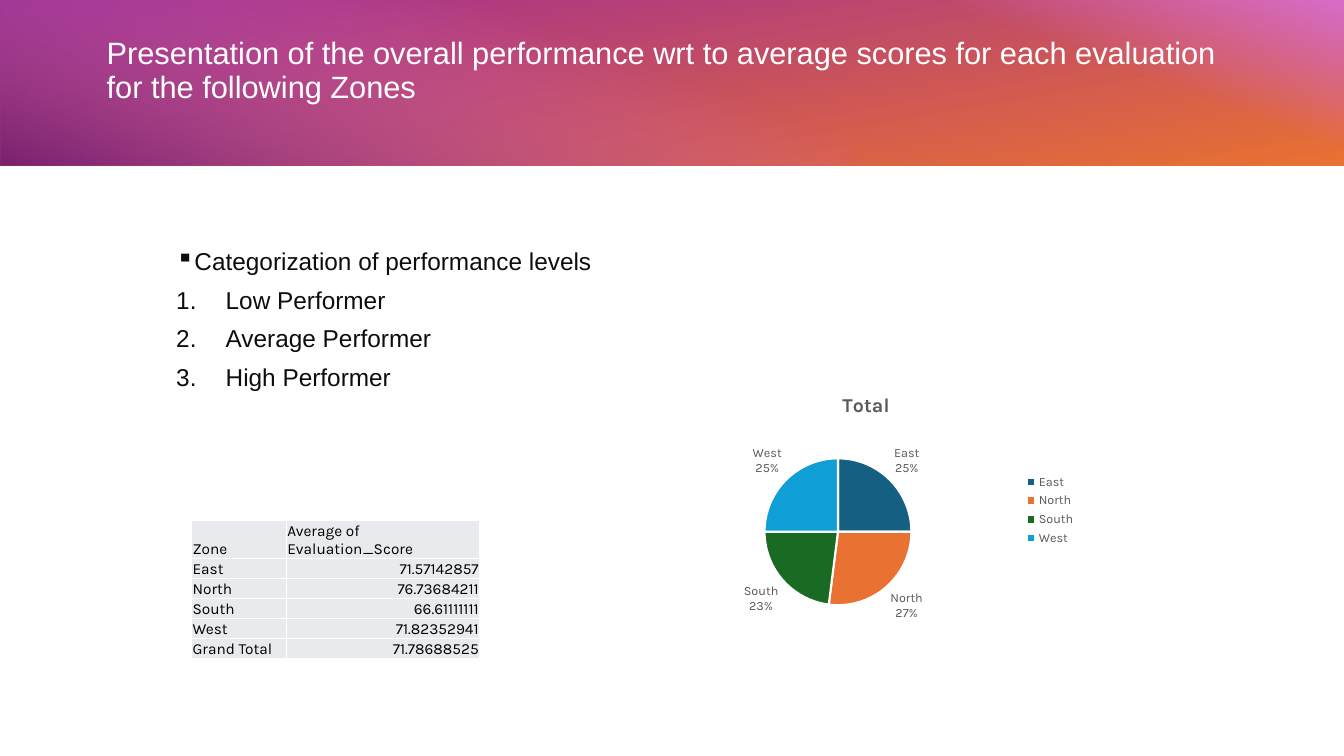
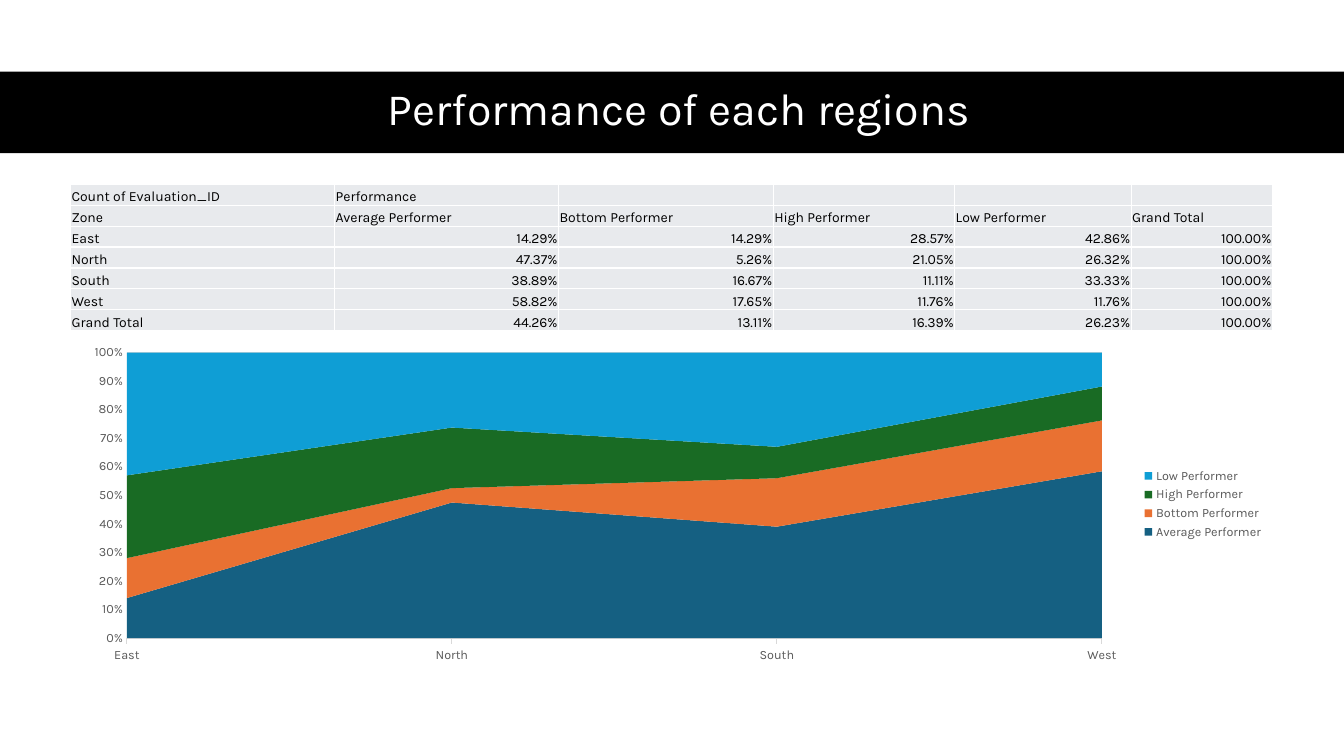
from lxml import etree
from pptx import Presentation
from pptx.chart import data as chart_data
from pptx.dml import color
from pptx.enum import chart as charts, shapes, text
from pptx.oxml import ns, parse_xml
from pptx.util import Inches, Pt

COLORS = {
    "white": "FFFFFF", "black": "000000", "ink": "0D0D0D", "label": "595959",
    "rule": "D9D9D9", "cell": "E8EAED", "purple": "A02B93", "orange": "E97132",
    "pink": "D86ECC", "plum": "78206E",
}
SERIES_COLORS = ["156082", "E97132", "196B24", "0F9ED5"]
ZONES = ["East", "North", "South", "West"]
TITLE = {"color": "white", "spacing": 0.9}
LABEL = {"size": 9, "color": "label", "name": "Karla"}


def rgb(name):
    """Return the named or literal hex colour."""
    return color.RGBColor.from_string(COLORS.get(name, name))


def style_font(font, size, color, name):
    """Apply size, colour and typeface to a font."""
    for key, value in {"size": Pt(size), "name": name}.items():
        setattr(font, key, value)
    font.fill.solid()
    font.fill.fore_color.rgb = rgb(color)


def write_para(para, words, size, color, name, align=None, spacing=None, after=None):
    """Write one styled run into a paragraph."""
    formats = {"alignment": align, "line_spacing": spacing, "space_after": after}
    for key, value in formats.items():
        if value is not None:
            setattr(para, key, value)
    span = para.add_run()
    span.text = words
    style_font(span.font, size, color, name)


def add_text(page, box, anchor):
    """Add a wrapping text box and return its frame."""
    frame = page.shapes.add_textbox(*map(Inches, box)).text_frame
    for key, value in {"word_wrap": True, "vertical_anchor": anchor}.items():
        setattr(frame, key, value)
    return frame


def add_rect(page, box):
    """Add a plain rectangle without line or shadow."""
    rect = page.shapes.add_shape(shapes.MSO_SHAPE.RECTANGLE, *map(Inches, box))
    rect.shadow.inherit = False
    rect.line.fill.background()
    return rect


def add_gradient(page, box, rotation, angle, stops):
    """Fill a horizontal box with a gradient on a turned rectangle."""
    left, top, width, height = box
    shift = (width - height) / 2
    rect = add_rect(page, (left + shift, top - shift, height, width))
    rect.rotation = rotation
    rect.fill.background()
    marks = "".join(
        f'<a:gs pos="{place * 1000}"><a:srgbClr val="{COLORS[name]}">'
        f'<a:alpha val="{alpha * 1000}"/></a:srgbClr></a:gs>'
        for place, name, alpha in stops)
    gradient = parse_xml(
        f'<a:gradFill {ns.nsdecls("a")} rotWithShape="1"><a:gsLst>{marks}</a:gsLst>'
        f'<a:lin ang="{angle * 60000}" scaled="0"/></a:gradFill>')
    properties = rect.fill._xPr
    properties.replace(properties.find(ns.qn("a:noFill")), gradient)


def add_gradient_band(page, box):
    """Layer the three gradients of the heading band."""
    left, top, width, height = box
    add_gradient(page, box, 270, 170, [(0, "purple", 100), (100, "orange", 100)])
    add_gradient(page, (left + width - 5.54, top, 5.54, height), 270, 20,
                 [(59, "pink", 0), (100, "pink", 100)])
    add_gradient(page, (left, top, 8.44, height), 90, 20,
                 [(29, "pink", 0), (100, "plum", 100)])


def add_levels(page, box, heading, levels):
    """Add a bulleted heading followed by numbered levels."""
    frame = add_text(page, box, text.MSO_ANCHOR.TOP)
    for index, words in enumerate([heading, *levels]):
        para = frame.add_paragraph() if index else frame.paragraphs[0]
        write_para(para, words, 17.4, "ink", "Arial", after=Pt(6.8))
        properties = para._p.get_or_add_pPr()
        if index:
            indent = Inches(0.49)
            properties.set("marL", str(indent))
            properties.set("indent", str(-indent))
            etree.SubElement(properties, ns.qn("a:buAutoNum"), type="arabicPeriod")
        else:
            etree.SubElement(properties, ns.qn("a:buChar"), char="▪")


def style_cell(cell, words, size, align):
    """Write a cell and give it a grey fill and white borders."""
    margins = {"margin_left": 0.01, "margin_right": 0.01, "margin_top": 0.01, "margin_bottom": 0}
    for key, value in margins.items():
        setattr(cell, key, Inches(value))
    cell.vertical_anchor = text.MSO_ANCHOR.BOTTOM
    cell.fill.solid()
    cell.fill.fore_color.rgb = rgb("cell")
    para = cell.text_frame.paragraphs[0]
    if words:
        write_para(para, words, size, "black", "Karla", align)
    etree.SubElement(para._p, ns.qn("a:endParaRPr"), sz=str(size * 100))
    for index, side in enumerate("LRTB"):
        border = parse_xml(
            f'<a:ln{side} {ns.nsdecls("a")} w="12700"><a:solidFill>'
            f'<a:srgbClr val="{COLORS["white"]}"/></a:solidFill></a:ln{side}>')
        cell._tc.tcPr.insert(index, border)


def add_score_table(page, box, widths, rows, size, header_rows):
    """Add a table whose figures are aligned right below the headers."""
    table = page.shapes.add_table(len(rows), len(widths), *map(Inches, box)).table
    for key in ("first_row", "horz_banding"):
        setattr(table, key, False)
    for column, width in zip(table.columns, widths):
        column.width = Inches(width)
    for i, row in enumerate(rows):
        table.rows[i].height = Inches(box[3] / len(rows))
        for j, words in enumerate(row):
            figure = i >= header_rows and j > 0
            align = text.PP_ALIGN.RIGHT if figure else text.PP_ALIGN.LEFT
            style_cell(table.cell(i, j), words, size, align)


def add_zone_chart(page, box, kind, series):
    """Add a chart by zone with a legend on the right."""
    data = chart_data.CategoryChartData()
    data.categories = ZONES
    for name, values in series.items():
        data.add_series(name, values)
    chart = page.shapes.add_chart(kind, *map(Inches, box), data).chart
    style_font(chart.font, 10, "black", "Karla")
    chart.has_title = False
    chart.has_legend = True
    legend = {"position": charts.XL_LEGEND_POSITION.RIGHT, "include_in_layout": False}
    for key, value in legend.items():
        setattr(chart.legend, key, value)
    style_font(chart.legend.font, **LABEL)
    chart.plots[0].vary_by_categories = kind == charts.XL_CHART_TYPE.PIE
    return chart


def add_score_pie(page, box):
    """Add the pie of each zone's share."""
    chart = add_zone_chart(page, box, charts.XL_CHART_TYPE.PIE, {"Total": [25, 27, 23, 25]})
    chart.has_title = True
    write_para(chart.chart_title.text_frame.paragraphs[0], "Total", 14, "label", "Karla")
    plot = chart.plots[0]
    for index, shade in enumerate(SERIES_COLORS):
        form = plot.series[0].points[index].format
        form.fill.solid()
        form.fill.fore_color.rgb = rgb(shade)
        form.line.color.rgb = rgb("white")
        form.line.width = Pt(1.5)
    plot.has_data_labels = True
    labels = plot.data_labels
    formats = {"show_percentage": True, "show_category_name": True, "show_value": False,
               "position": charts.XL_LABEL_POSITION.OUTSIDE_END}
    for key, value in formats.items():
        setattr(labels, key, value)
    style_font(labels.font, **LABEL)


def add_performance_area(page, box, series):
    """Add the stacked area chart of performer levels."""
    chart = add_zone_chart(page, box, charts.XL_CHART_TYPE.AREA_STACKED_100, series)
    for item, shade in zip(chart.plots[0].series, SERIES_COLORS):
        item.format.fill.solid()
        item.format.fill.fore_color.rgb = rgb(shade)
    category, value = chart.category_axis, chart.value_axis
    ticks = charts.XL_TICK_MARK
    for axis, mark in ((category, ticks.OUTSIDE), (value, ticks.NONE)):
        axis.major_tick_mark = mark
        axis.minor_tick_mark = ticks.NONE
        style_font(axis.tick_labels.font, **LABEL)
    category.has_major_gridlines = False
    value.has_major_gridlines = True
    for line in (category.format.line, value.major_gridlines.format.line):
        line.color.rgb = rgb("rule")
        line.width = Pt(0.75)
    value.format.line.fill.background()
    value.tick_labels.number_format = "0%"
    value.tick_labels.number_format_is_linked = False
    for crossing in value._element.iter(ns.qn("c:crossBetween")):
        crossing.set("val", "midCat")


def build_overall(page):
    """Build the slide of average scores by zone."""
    add_gradient_band(page, (0, -0.02, 13.34, 1.66))
    frame = add_text(page, (0.96, 0.33, 11.46, 1.1), text.MSO_ANCHOR.TOP)
    write_para(frame.paragraphs[0], "Presentation of the overall performance wrt to average scores "
               "for each evaluation for the following Zones", 22, name="Arial", **TITLE)
    add_levels(page, (1.65, 2.39, 10.03, 4.15), "Categorization of performance levels",
               ["Low Performer", "Average Performer", "High Performer"])
    scores = ["71.57142857", "76.73684211", "66.61111111", "71.82352941", "71.78688525"]
    rows = [("Zone", "Average of Evaluation_Score"), *zip([*ZONES, "Grand Total"], scores)]
    add_score_table(page, (1.9, 5.16, 2.86, 1.2), [0.94, 1.92], rows, 11, 1)
    add_score_pie(page, (6.41, 3.75, 4.36, 2.62))


def build_regions(page):
    """Build the slide of performer levels by zone."""
    band = add_rect(page, (0, 0.71, 13.33, 0.81))
    band.fill.solid()
    band.fill.fore_color.rgb = rgb("black")
    levels = {"Average Performer": [14, 47, 39, 59], "Bottom Performer": [14, 5, 17, 18],
              "High Performer": [29, 21, 11, 12], "Low Performer": [43, 26, 33, 12]}
    add_performance_area(page, (0.7, 3.36, 11.93, 3.28), levels)
    frame = add_text(page, (0.61, 0.7, 12.26, 0.81), text.MSO_ANCHOR.MIDDLE)
    write_para(frame.paragraphs[0], "Performance of each regions", 32, name="Karla",
               align=text.PP_ALIGN.CENTER, **TITLE)
    shares = [
        ["14.29%", "14.29%", "28.57%", "42.86%"],
        ["47.37%", "5.26%", "21.05%", "26.32%"],
        ["38.89%", "16.67%", "11.11%", "33.33%"],
        ["58.82%", "17.65%", "11.76%", "11.76%"],
        ["44.26%", "13.11%", "16.39%", "26.23%"],
    ]
    rows = [["Count of Evaluation_ID", "Performance", "", "", "", ""],
            ["Zone", *levels, "Grand Total"]]
    rows += [[zone, *row, "100.00%"] for zone, row in zip([*ZONES, "Grand Total"], shares)]
    add_score_table(page, (0.7, 1.83, 11.93, 1.45), [2.62, 2.22, 2.13, 1.8, 1.75, 1.4], rows, 10, 2)


def main():
    """Build and save the deck."""
    deck = Presentation()
    deck.slide_width, deck.slide_height = Inches(13.33), Inches(7.5)
    for build in (build_overall, build_regions):
        build(deck.slides.add_slide(deck.slide_layouts[6]))
    deck.save("out.pptx")


if __name__ == "__main__":
    main()
